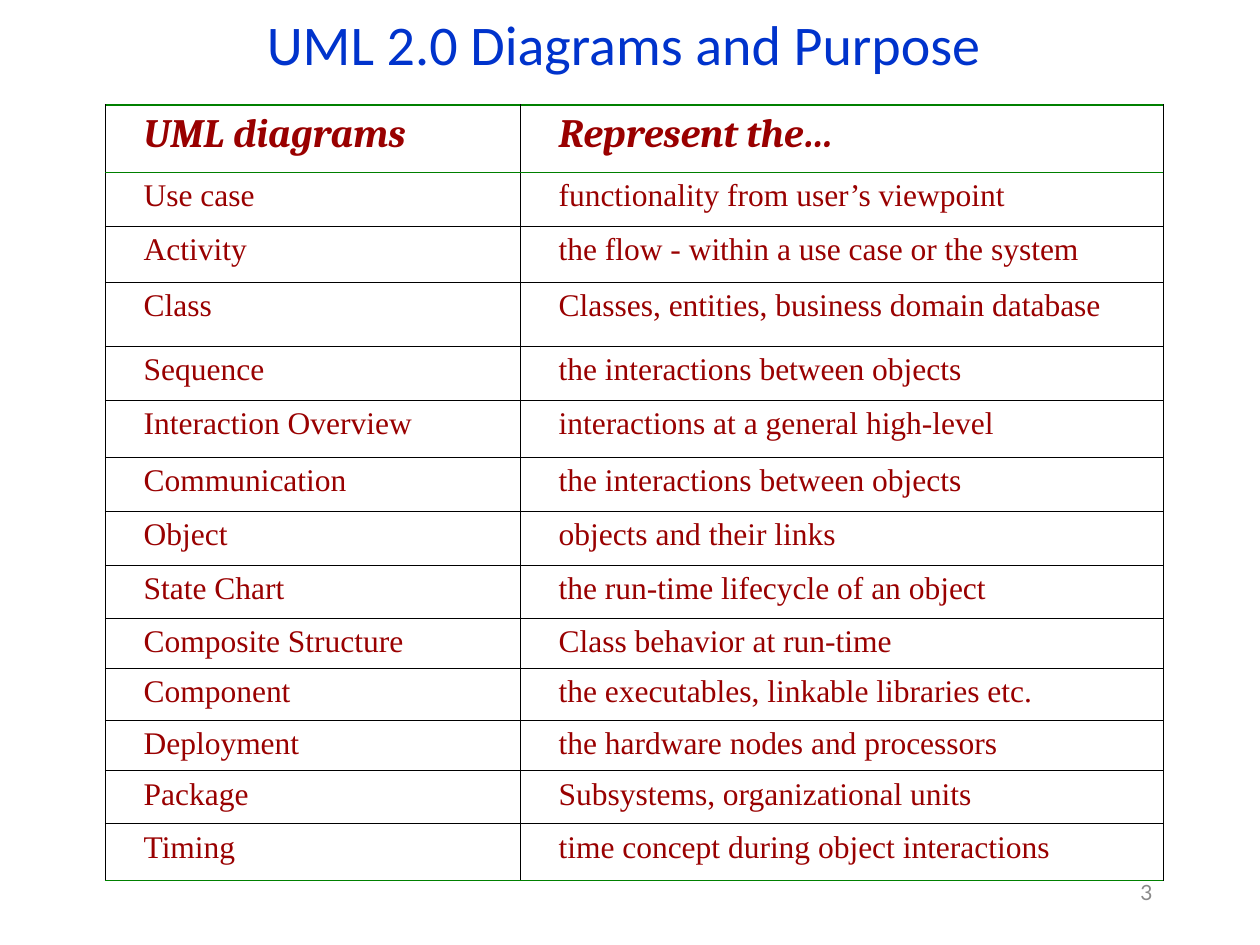
"""Build a slide with a table of UML 2.0 diagrams and their purposes."""
import pptx
import pptx.dml.color
import pptx.enum.text
import pptx.oxml
import pptx.oxml.ns
import pptx.util

SCALE = 914400 / 126
COLORS = {"title": "0033CC", "text": "990000", "number": "898989",
          "grid": "000000", "accent": "008000"}
ALIGN = pptx.enum.text.PP_ALIGN
MIDDLE = pptx.enum.text.MSO_ANCHOR.MIDDLE


def px(length):
    return pptx.util.Emu(round(length * SCALE))


def add_span(para, text, size, font, color, strong=False):
    span = para.add_run()
    span.text = text
    span.font.size = pptx.util.Pt(size)
    span.font.name = font
    span.font.bold = span.font.italic = strong
    span.font.color.rgb = pptx.dml.color.RGBColor.from_string(COLORS[color])


diagrams = [
    ("UML diagrams", "Represent the…", 67),
    ("Use case", "functionality from user’s viewpoint", 54),
    ("Activity", "the flow - within a use case or the system", 56),
    ("Class", "Classes, entities, business domain database", 64),
    ("Sequence", "the interactions between objects", 54),
    ("Interaction Overview", "interactions at a general high-level", 57),
    ("Communication", "the interactions between objects", 54),
    ("Object", "objects and their links", 54),
    ("State Chart", "the run-time lifecycle of an object", 53),
    ("Composite Structure", "Class behavior at run-time", 50),
    ("Component", "the executables, linkable libraries etc.", 52),
    ("Deployment", "the hardware nodes and processors", 50),
    ("Package", "Subsystems, organizational units", 53),
    ("Timing", "time concept during object interactions", 57),
]
column_widths = [415, 643]
table_height = sum(height for _, _, height in diagrams)
last = len(diagrams) - 1

deck = pptx.Presentation()
deck.slide_width, deck.slide_height = px(1260), px(945)
page = deck.slides.add_slide(deck.slide_layouts[6])

labels = [
    ("UML 2.0 Diagrams and Purpose", (94, 0, 1060, 87), ALIGN.CENTER, 32, "Calibri", "title"),
    ("3", (903, 861, 262, 63), ALIGN.RIGHT, 12, "Lato", "number"),
]
for text, place, align, size, font, color in labels:
    box = page.shapes.add_textbox(*map(px, place))
    box.text_frame.word_wrap = True
    box.text_frame.vertical_anchor = MIDDLE
    para = box.text_frame.paragraphs[0]
    para.alignment = align
    add_span(para, text, size, font, color)

table = page.shapes.add_table(len(diagrams), 2, px(105), px(105),
                              px(sum(column_widths)), px(table_height)).table
table.horz_banding = False
table.first_row = False
for column, width in zip(table.columns, column_widths):
    column.width = px(width)

grid, outer, header = ("grid", 0.34), ("accent", 0.96), ("accent", 0.45)
for index, (name, purpose, height) in enumerate(diagrams):
    table.rows[index].height = px(height)
    top = {0: outer, 1: header}.get(index, grid)
    bottom = {0: header, last: outer}.get(index, grid)
    borders = {"lnL": grid, "lnR": grid, "lnT": top, "lnB": bottom}
    for cell, text in zip(table.rows[index].cells, (name, purpose)):
        para = cell.text_frame.paragraphs[0]
        properties = para._p.get_or_add_pPr()
        properties.set("marL", str(px(73)))
        properties.set("indent", str(px(-47)))
        if index == 0:
            add_span(para, text, 23, "Cambria", "text", strong=True)
        else:
            add_span(para, text, 18, "Times New Roman", "text")
        cell.fill.background()
        for order, (side, (color, width)) in enumerate(borders.items()):
            line = pptx.oxml.parse_xml(
                f'<a:{side} {pptx.oxml.ns.nsdecls("a")} w="{pptx.util.Pt(width)}">'
                f'<a:solidFill><a:srgbClr val="{COLORS[color]}"/></a:solidFill></a:{side}>')
            cell._tc.get_or_add_tcPr().insert(order, line)

deck.save("out.pptx")
